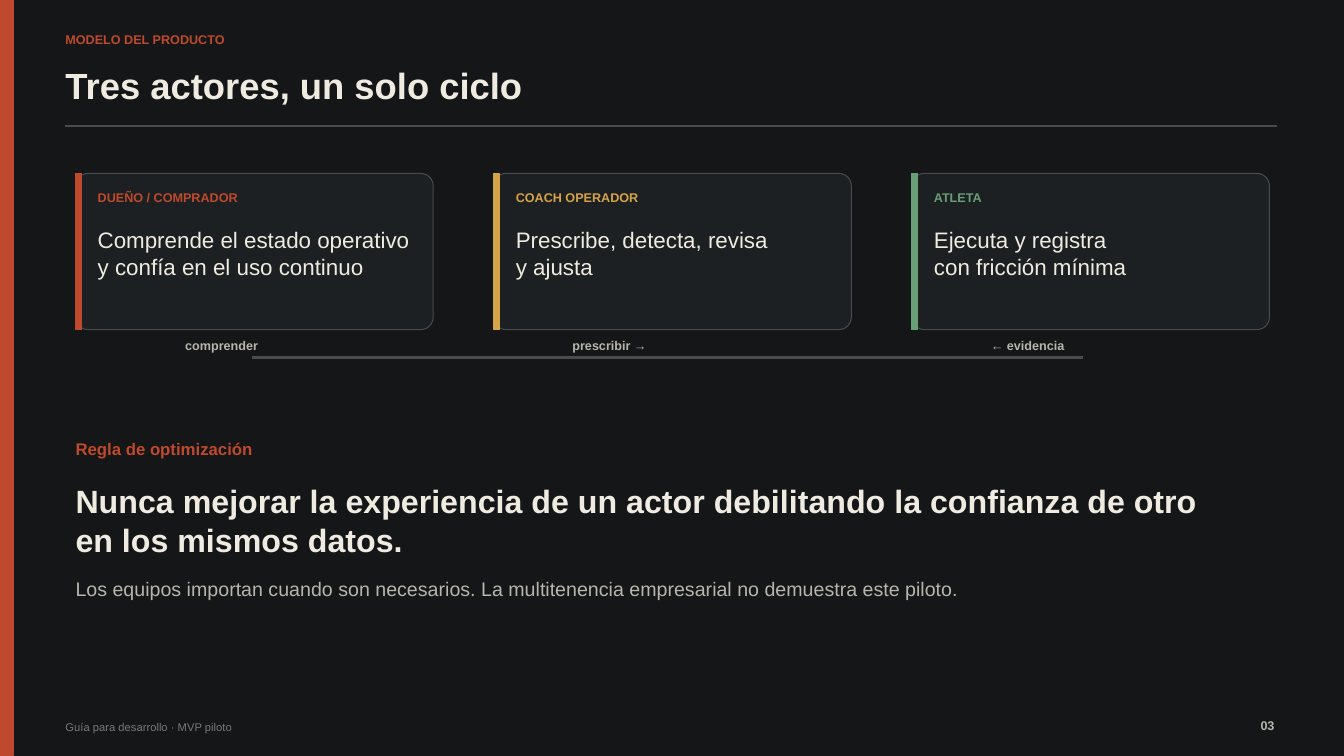
from dataclasses import dataclass

from lxml import etree
from pptx import Presentation
from pptx.dml.color import RGBColor
from pptx.enum.shapes import MSO_CONNECTOR, MSO_SHAPE
from pptx.enum.text import MSO_ANCHOR, MSO_AUTO_SIZE, PP_ALIGN
from pptx.oxml.ns import qn
from pptx.shapes.autoshape import Shape
from pptx.slide import Slide
from pptx.util import Inches, Pt

RECT, ROUNDED = MSO_SHAPE.RECTANGLE, MSO_SHAPE.ROUNDED_RECTANGLE
STRAIGHT = MSO_CONNECTOR.STRAIGHT
LEFT, CENTER, RIGHT = PP_ALIGN.LEFT, PP_ALIGN.CENTER, PP_ALIGN.RIGHT
TOP = MSO_ANCHOR.TOP
GROW = MSO_AUTO_SIZE.SHAPE_TO_FIT_TEXT

FONT = "Arial"
INK = RGBColor(0x14, 0x16, 0x17)
PANEL = RGBColor(0x1D, 0x20, 0x22)
RULE = RGBColor(0x46, 0x4C, 0x4F)
CREAM = RGBColor(0xEF, 0xEB, 0xE0)
MUTED = RGBColor(0xB8, 0xB5, 0xAC)
GRAY = RGBColor(0x74, 0x7B, 0x7E)
RUST = RGBColor(0xBE, 0x49, 0x2D)
GOLD = RGBColor(0xD5, 0xA3, 0x48)
GREEN = RGBColor(0x68, 0x9F, 0x75)

CARD_LEFT, CARD_TOP, CARD_STEP = 0.75, 1.72, 4.15
CARD_WIDTH, CARD_HEIGHT = 3.55, 1.55


@dataclass(frozen=True)
class Box:
    left: float
    top: float
    width: float
    height: float


@dataclass(frozen=True)
class Label:
    box: Box
    lines: tuple[str, ...]
    size: float
    color: RGBColor
    bold: bool = False
    align: PP_ALIGN = LEFT


@dataclass(frozen=True)
class Actor:
    role: str
    duties: tuple[str, ...]
    accent: RGBColor


ACTORS = (
    Actor("DUEÑO / COMPRADOR",
          ("Comprende el estado operativo", "y confía en el uso continuo"), RUST),
    Actor("COACH OPERADOR", ("Prescribe, detecta, revisa", "y ajusta"), GOLD),
    Actor("ATLETA", ("Ejecuta y registra", "con fricción mínima"), GREEN),
)

TITLE = Label(Box(0.65, 0.63, 11.9, 0.43), ("Tres actores, un solo ciclo",), 26, CREAM, True)

LABELS = (
    # Header and footer
    Label(Box(0.65, 0.32, 7.5, 0.15), ("MODELO DEL PRODUCTO",), 9, RUST, True),
    Label(Box(0.65, 7.15, 3.5, 0.13), ("Guía para desarrollo · MVP piloto",), 8, GRAY),
    Label(Box(12.1, 7.12, 0.55, 0.15), ("03",), 9, MUTED, True, RIGHT),
    # Cycle steps
    Label(Box(1.6, 3.35, 1.2, 0.15), ("comprender",), 9, MUTED, True, CENTER),
    Label(Box(5.35, 3.35, 1.4, 0.15), ("prescribir →",), 9, MUTED, True, CENTER),
    Label(Box(9.5, 3.35, 1.4, 0.15), ("← evidencia",), 9, MUTED, True, CENTER),
    # Optimization rule
    Label(Box(0.75, 4.35, 2.5, 0.2), ("Regla de optimización",), 12, RUST, True),
    Label(Box(0.75, 4.78, 11.5, 0.77),
          ("Nunca mejorar la experiencia de un actor debilitando la confianza "
           "de otro en los mismos datos.",), 23, CREAM, True),
    Label(Box(0.75, 5.72, 10.5, 0.23),
          ("Los equipos importan cuando son necesarios. La multitenencia "
           "empresarial no demuestra este piloto.",), 14, MUTED),
)


def lengths(box: Box) -> tuple[Inches, Inches, Inches, Inches]:
    return Inches(box.left), Inches(box.top), Inches(box.width), Inches(box.height)


def write_label(holder: Shape, label: Label) -> None:
    holder.left, holder.top, holder.width, holder.height = lengths(label.box)
    frame = holder.text_frame
    frame.word_wrap = True
    frame.auto_size = GROW
    frame.vertical_anchor = TOP
    frame.margin_left = frame.margin_top = frame.margin_right = frame.margin_bottom = 0
    for index, line in enumerate(label.lines):
        paragraph = frame.add_paragraph() if index else frame.paragraphs[0]
        paragraph.alignment = label.align
        run = paragraph.add_run()
        run.text = line
        run.font.name = FONT
        run.font.size = Pt(label.size)
        run.font.bold = label.bold
        run.font.color.rgb = label.color


def add_label(slide: Slide, label: Label) -> None:
    write_label(slide.shapes.add_textbox(*lengths(label.box)), label)


def add_block(slide: Slide, kind: MSO_SHAPE, box: Box, fill: RGBColor, line: RGBColor) -> Shape:
    block = slide.shapes.add_shape(kind, *lengths(box))
    block.shadow.inherit = False
    block.fill.solid()
    block.fill.fore_color.rgb = fill
    block.line.color.rgb = line
    block.line.width = Pt(0.75)
    return block


def add_rule(slide: Slide, start: float, end: float, y: float, weight: float) -> None:
    rule = slide.shapes.add_connector(STRAIGHT, Inches(start), Inches(y), Inches(end), Inches(y))
    rule.line.color.rgb = RULE
    rule.line.width = Pt(weight)
    etree.SubElement(rule._element.spPr, qn("a:effectLst"))


def add_actor_card(slide: Slide, actor: Actor, left: float) -> None:
    card = add_block(slide, ROUNDED, Box(left, CARD_TOP, CARD_WIDTH, CARD_HEIGHT), PANEL, RULE)
    card.adjustments[0] = 0.08
    add_block(slide, RECT, Box(left, CARD_TOP, 0.06, CARD_HEIGHT), actor.accent, actor.accent)
    text_left = left + 0.22
    add_label(slide, Label(Box(text_left, CARD_TOP + 0.16, 3.17, 0.15),
                           (actor.role,), 9, actor.accent, True))
    add_label(slide, Label(Box(text_left, CARD_TOP + 0.52, 3.15, 0.54),
                           actor.duties, 16, CREAM))


def main() -> None:
    deck = Presentation()
    deck.slide_width, deck.slide_height = Inches(13.34), Inches(7.5)
    slide = deck.slides.add_slide(deck.slide_layouts.get_by_name("Title Only"))
    slide.background.fill.solid()
    slide.background.fill.fore_color.rgb = INK

    # Side band, title and rule
    add_block(slide, RECT, Box(0, 0, 0.13, 7.5), RUST, RUST)
    write_label(slide.shapes.title, TITLE)
    add_rule(slide, 0.65, 12.68, 1.25, 1)

    # Actor cards and the cycle line below them
    for index, actor in enumerate(ACTORS):
        add_actor_card(slide, actor, CARD_LEFT + index * CARD_STEP)
    add_rule(slide, 2.5, 10.75, 3.55, 2)

    # Remaining text
    for label in LABELS:
        add_label(slide, label)

    deck.save("out.pptx")


if __name__ == "__main__":
    main()
